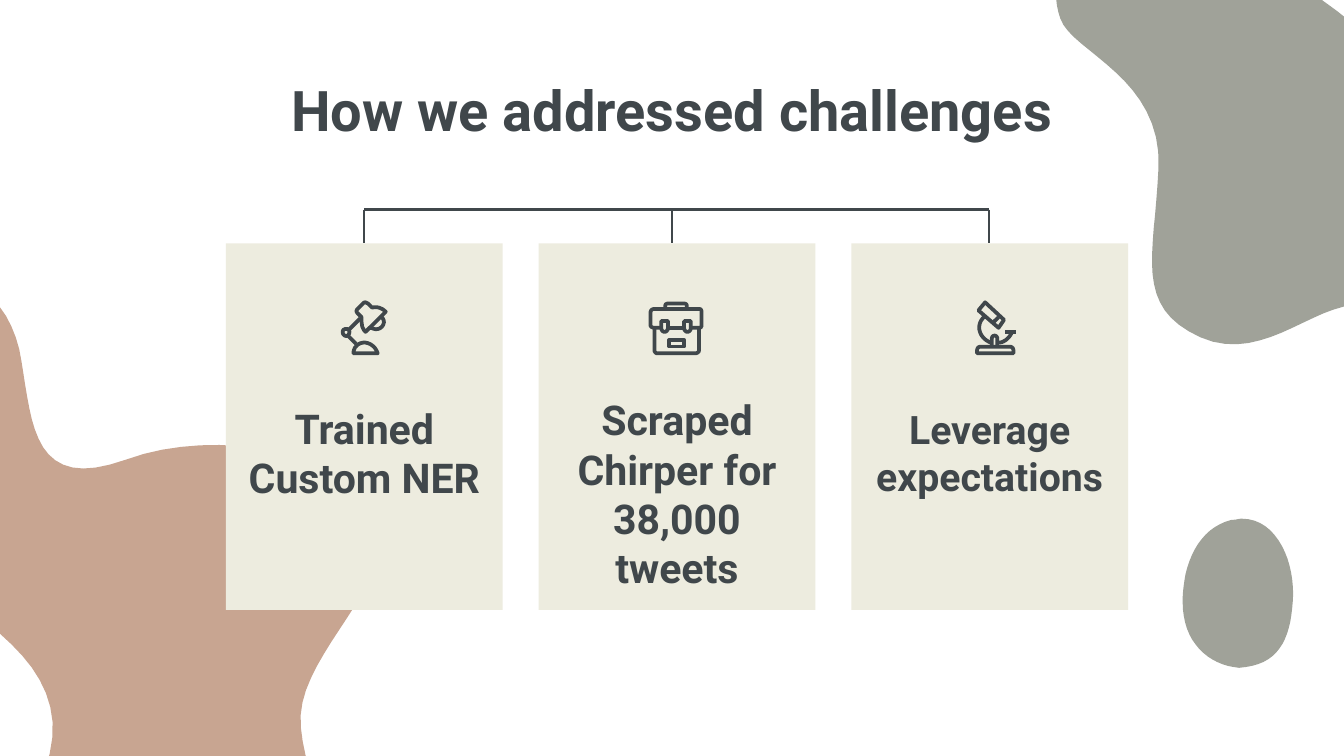
from dataclasses import dataclass

from lxml.etree import SubElement
from pptx import Presentation
from pptx.dml.color import RGBColor
from pptx.enum.shapes import MSO_CONNECTOR as Connector, MSO_SHAPE as Shape
from pptx.enum.text import MSO_ANCHOR as Anchor, MSO_AUTO_SIZE as AutoSize, PP_ALIGN as Align
from pptx.oxml.ns import qn
from pptx.shapes.autoshape import Shape as AutoShape
from pptx.slide import Slide
from pptx.text.text import TextFrame
from pptx.util import Cm, Pt


@dataclass(frozen=True)
class Theme:
    ink: RGBColor = RGBColor.from_string("40474B")
    card: RGBColor = RGBColor.from_string("EDECDF")
    sage: RGBColor = RGBColor.from_string("A0A299")
    clay: RGBColor = RGBColor.from_string("C8A591")
    font: str = "Roboto"
    title_size: int = 30
    rule_width: float = 1.5
    icon_width: float = 2


@dataclass(frozen=True)
class Blob:
    outline: str
    color: RGBColor


@dataclass(frozen=True)
class Card:
    text: str
    size: int
    text_height: float
    icon: str


THEME = Theme()
PATH_UNIT = Cm(2.54) / 1000
CURVE_STEPS = 16

CARD_LEFT, CARD_TOP = 4.27, 4.6
CARD_WIDTH, CARD_HEIGHT = 5.23, 6.93
CARD_PITCH = 5.91
TEXT_TOP = 7.09
RULE_TOP = 3.96
BRANCHES = (6.88, 12.7, 18.69)

BLOBS = (
    Blob("M 789 14 C 798 39 865 58 862 125 C 859 191 843 228 893 251 "
         "C 943 273 983 218 1021 228 C 1058 238 1171 202 1092 103 "
         "C 1014 5 902 -62 844 -57 C 786 -53 780 -11 789 14 Z", THEME.sage),
    Blob("M 16 269 C 24 317 25 367 94 342 C 162 317 260 337 279 383 "
         "C 299 428 236 474 225 523 C 214 571 276 639 211 664 "
         "C 147 690 5 645 33 574 C 60 502 -6 466 -63 425 "
         "C -120 383 -171 263 -102 222 C -32 181 9 220 16 269 Z", THEME.clay),
    Blob("M 924 386 C 922 386 919 387 916 387 C 892 393 880 419 880 448 "
         "C 880 478 899 495 922 497 C 951 495 960 477 962 447 "
         "C 964 420 951 386 924 386 Z", THEME.sage),
)

LAMP = (
    "M 272 225 C 271 225 271 225 270 226 L 266 230 C 265 231 265 232 266 233 "
    "L 269 236 C 269 241 269 244 272 247 L 287 232 C 284 229 280 228 277 229 L 274 226 Z "
    "M 284 236 C 288 240 284 245 280 245 C 278 245 277 244 275 244 "
    "M 268 237 L 259 246 M 259 250 L 265 256 "
    "M 255 247 C 255 244 260 244 260 247 C 260 251 255 251 255 247 Z "
    "M 263 263 C 263 258 267 255 271 255 C 276 255 280 259 281 263 Z"
)
BRIEFCASE = (
    "M 495 230 L 495 228 C 495 226 496 226 497 226 L 509 226 C 510 226 511 226 511 228 L 511 230 "
    "M 492 444 " .replace("444", "244") +
    "L 487 244 C 485 244 484 243 484 242 L 484 233 C 484 231 485 230 487 230 "
    "L 520 230 C 522 230 522 231 522 233 L 522 242 C 522 243 522 244 520 244 L 514 244 "
    "M 497 244 L 509 244 "
    "M 487 245 L 487 261 C 487 262 488 263 489 263 L 517 263 C 519 263 520 262 520 261 L 520 245 "
    "M 492 239 L 497 239 L 497 244 C 497 248 492 248 492 244 Z "
    "M 509 239 L 514 239 L 514 244 C 514 248 509 248 509 244 Z "
    "M 498 253 L 509 253 L 509 258 L 498 258 Z"
)
MICROSCOPE = (
    "M 733 225 L 747 238 L 743 244 L 728 231 Z M 743 236 L 739 240 "
    "M 732 236 C 726 242 728 251 737 255 M 743 255 C 748 255 752 250 753 247 "
    "M 748 247 L 756 247 "
    "M 738 258 L 738 252 C 738 249 742 249 742 252 L 742 258 "
    "M 727 263 L 727 261 C 727 259 728 258 730 258 "
    "L 751 258 C 753 258 754 259 754 261 L 754 263 Z"
)

CARDS = (
    Card("Trained Custom NER", 22, 2.92, LAMP),
    Card("Scraped Chirper for 38,000 tweets", 22, 4.47, BRIEFCASE),
    Card("Leverage expectations", 21, 2.92, MICROSCOPE),
)


def bezier(points: list[tuple[float, float]], t: float) -> tuple[float, float]:
    weights = ((1 - t) ** 3, 3 * t * (1 - t) ** 2, 3 * t * t * (1 - t), t ** 3)
    x, y = (sum(w * p[axis] for w, p in zip(weights, points)) for axis in (0, 1))
    return x, y


def trace(contour: str) -> list[tuple[float, float]]:
    tokens = iter(contour.split())
    points = [(10 * int(next(tokens)), 10 * int(next(tokens)))]
    for command in tokens:
        pairs = {"L": 1, "C": 3}.get(command, 0)
        ends = [(10 * int(next(tokens)), 10 * int(next(tokens))) for _ in range(pairs)]
        if command == "C":
            curve = [points[-1], *ends]
            points += [bezier(curve, i / CURVE_STEPS) for i in range(1, CURVE_STEPS + 1)]
        else:
            points += ends
    return points


def add_outline(slide: Slide, outline: str) -> AutoShape:
    builder = None
    for contour in outline.split("M")[1:]:
        start, *rest = trace(contour)
        if builder is None:
            builder = slide.shapes.build_freeform(*start, scale=PATH_UNIT)
        else:
            builder.move_to(*start)
        builder.add_line_segments(rest, close="Z" in contour)
    s = builder.convert_to_shape()
    s.shadow.inherit = False
    return s


def add_blob(slide: Slide, blob: Blob) -> None:
    s = add_outline(slide, blob.outline)
    s.fill.solid()
    s.fill.fore_color.rgb = blob.color
    s.line.fill.background()


def add_icon(slide: Slide, outline: str) -> None:
    s = add_outline(slide, outline)
    s.fill.background()
    s.line.color.rgb = THEME.ink
    s.line.width = Pt(THEME.icon_width)


def set_text(tf: TextFrame, text: str, size: int, anchor: Anchor) -> None:
    tf.text = text
    tf.word_wrap = True
    tf.auto_size = AutoSize.NONE
    tf.vertical_anchor = anchor
    tf.margin_left = tf.margin_right = tf.margin_top = tf.margin_bottom = Cm(0.25)
    p = tf.paragraphs[0]
    p.alignment = Align.CENTER
    p.line_spacing = 1.0
    p.space_before = Pt(0)
    font = p.runs[0].font
    font.name, font.size, font.bold = THEME.font, Pt(size), True
    font.color.rgb = THEME.ink


def add_title(slide: Slide, text: str) -> None:
    sp = slide.shapes.title
    sp.left, sp.top, sp.width, sp.height = Cm(1.98), Cm(1.45), Cm(21.44), Cm(1.5)
    set_text(sp.text_frame, text, THEME.title_size, Anchor.BOTTOM)


def add_card(slide: Slide, card: Card, left: float) -> None:
    s = slide.shapes.add_shape(
        Shape.RECTANGLE, Cm(left), Cm(CARD_TOP), Cm(CARD_WIDTH), Cm(CARD_HEIGHT))
    s.shadow.inherit = False
    s.fill.solid()
    s.fill.fore_color.rgb = THEME.card
    s.line.fill.background()
    box = slide.shapes.add_textbox(
        Cm(left), Cm(TEXT_TOP), Cm(CARD_WIDTH), Cm(card.text_height))
    set_text(box.text_frame, card.text, card.size, Anchor.MIDDLE)
    add_icon(slide, card.icon)


def add_rule(slide: Slide, x1: float, y1: float, x2: float, y2: float) -> None:
    s = slide.shapes.add_connector(Connector.STRAIGHT, Cm(x1), Cm(y1), Cm(x2), Cm(y2))
    s.line.color.rgb = THEME.ink
    s.line.width = Pt(THEME.rule_width)
    SubElement(s._element.spPr, qn("a:effectLst"))


def main() -> None:
    prs = Presentation()
    prs.slide_width, prs.slide_height = Cm(25.4), Cm(14.29)
    slide = prs.slides.add_slide(prs.slide_layouts[5])
    for blob in BLOBS:
        add_blob(slide, blob)
    add_title(slide, "How we addressed challenges")
    for i, card in enumerate(CARDS):
        add_card(slide, card, CARD_LEFT + i * CARD_PITCH)
    add_rule(slide, BRANCHES[0], RULE_TOP, BRANCHES[-1], RULE_TOP)
    for x in BRANCHES:
        add_rule(slide, x, RULE_TOP, x, CARD_TOP)
    prs.save("out.pptx")


if __name__ == "__main__":
    main()
